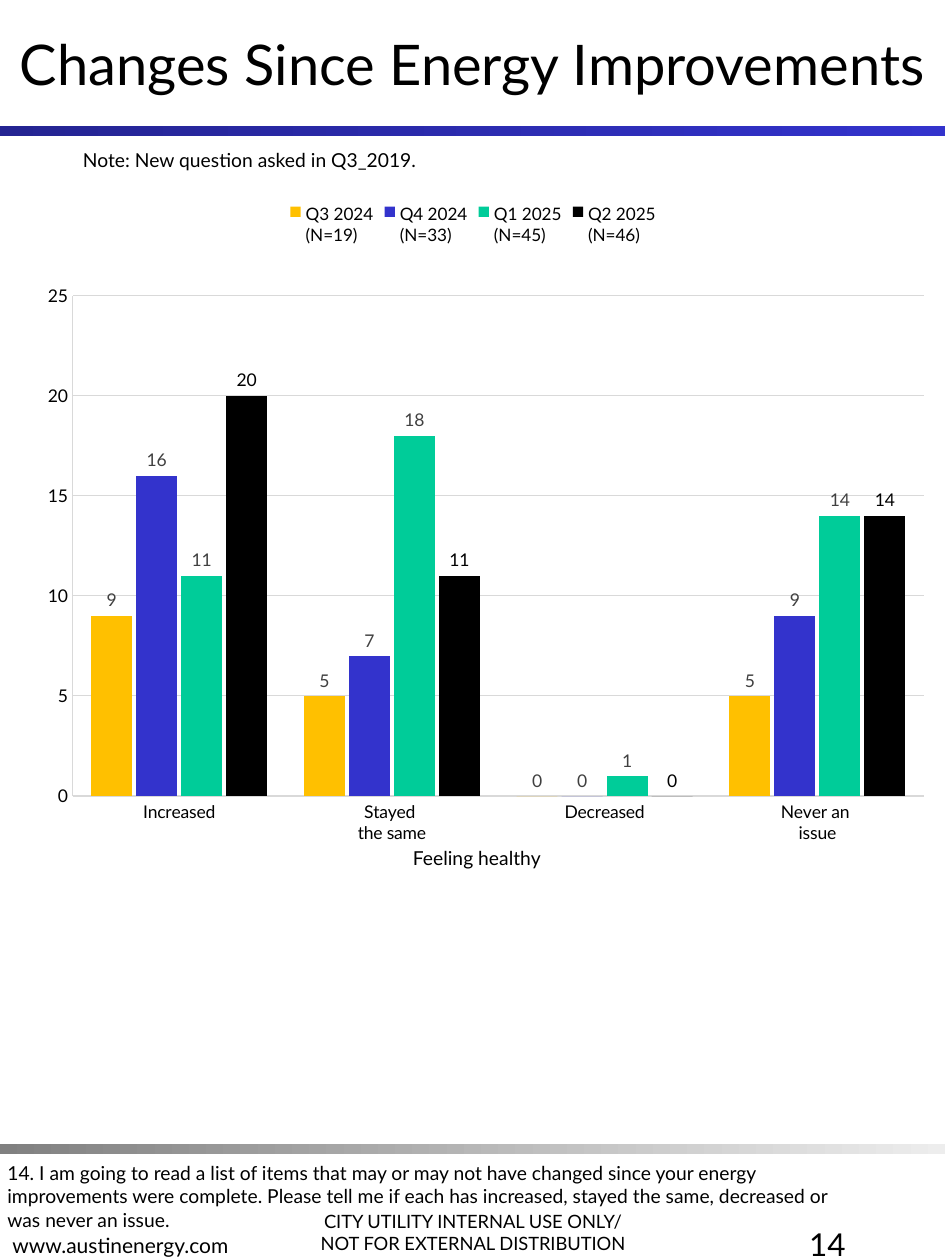
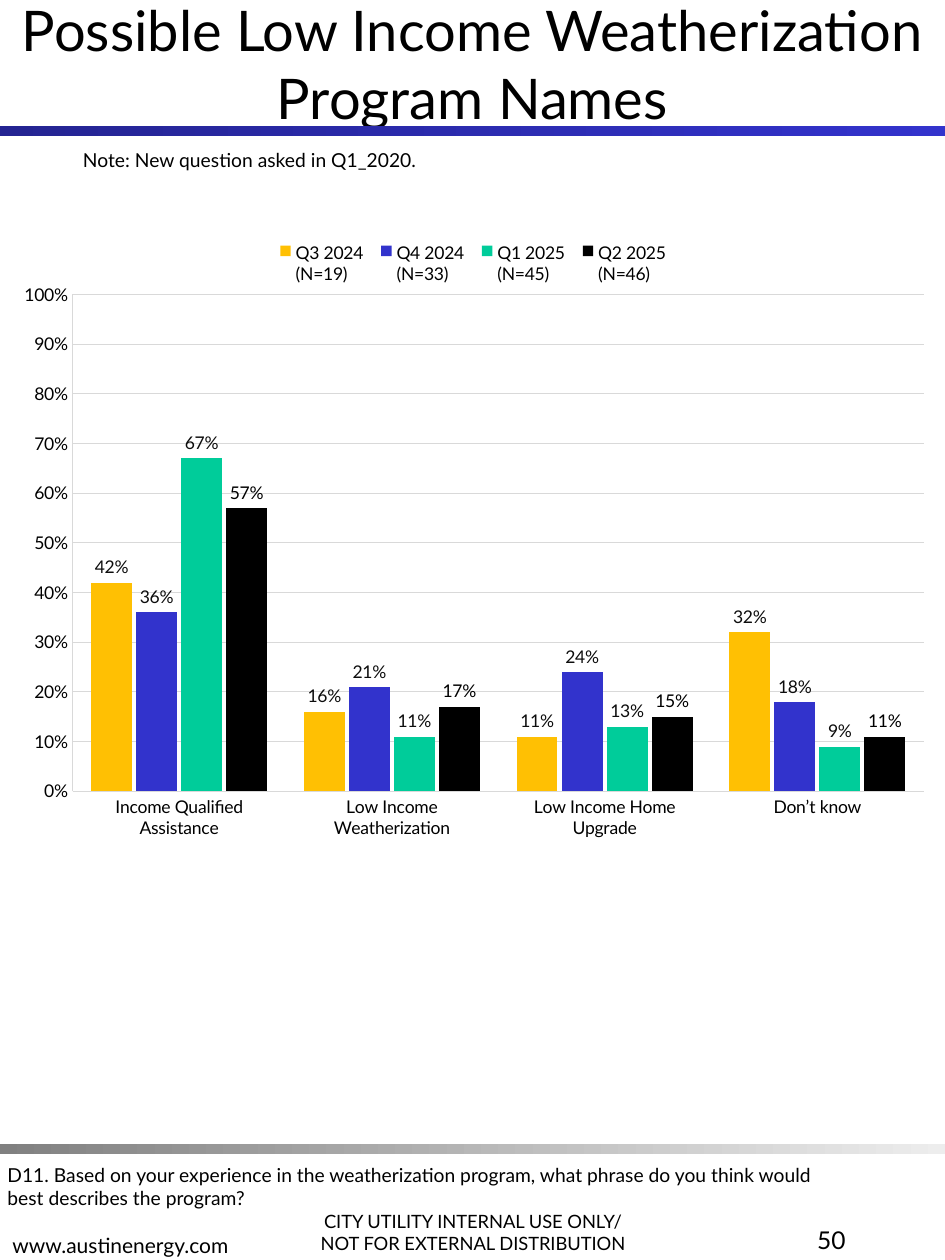
from dataclasses import dataclass
from typing import Optional

from lxml.etree import SubElement
from pptx import Presentation
from pptx.chart.data import CategoryChartData
from pptx.dml.color import RGBColor
from pptx.enum.chart import XL_CHART_TYPE as ChartType
from pptx.enum.chart import XL_LABEL_POSITION as LabelPosition
from pptx.enum.chart import XL_LEGEND_POSITION as LegendPosition
from pptx.enum.chart import XL_TICK_MARK as TickMark
from pptx.enum.shapes import MSO_SHAPE as Shape
from pptx.enum.text import MSO_ANCHOR as Anchor
from pptx.enum.text import MSO_AUTO_SIZE as AutoSize
from pptx.enum.text import PP_ALIGN as Align
from pptx.oxml.ns import qn
from pptx.util import Inches, Pt

FONT = "Lato"
BLACK = "000000"
RULE = "D9D9D9"
COLUMNS, ROWS = 75, 100
WIDTH, HEIGHT = Inches(7.5), Inches(10)
QUARTERS = ["Q3 2024\n(N=19)", "Q4 2024\n(N=33)", "Q1 2025\n(N=45)", "Q2 2025\n(N=46)"]


@dataclass(frozen=True)
class Area:
    """A place on the page grid."""
    column: float
    row: float
    columns: float
    rows: float

    def emu(self) -> tuple:
        """Return left, top, width and height."""
        across, down = WIDTH / COLUMNS, HEIGHT / ROWS
        return (round(self.column * across), round(self.row * down),
                round(self.columns * across), round(self.rows * down))


@dataclass(frozen=True)
class Label:
    """A piece of text with its place and style."""
    text: str
    area: Area
    size: float
    align: Align = Align.LEFT
    anchor: Anchor = Anchor.TOP
    wrap: bool = True


@dataclass(frozen=True)
class Band:
    """A gradient bar across the page."""
    row: float
    start: str
    end: str


@dataclass(frozen=True)
class Columns:
    """A clustered column chart of the four quarters."""
    area: Area
    categories: list
    values: list
    colors: list
    label_colors: list
    plot: tuple
    maximum: float
    step: float
    number_format: str = "General"
    legend_size: float = 10
    legend: Optional[tuple] = None


@dataclass(frozen=True)
class SurveyPage:
    """The content of one question page."""
    title: str
    number: Label
    labels: list
    chart: Columns


BANDS = [Band(10, "242492", "3333CC"), Band(90.8, "808080", "EDEDED")]
FOOTERS = [
    Label("CITY UTILITY INTERNAL USE ONLY/\nNOT FOR EXTERNAL DISTRIBUTION",
          Area(21.6, 93.3, 31.9, 6.7), 10.5, Align.CENTER, Anchor.BOTTOM),
    Label("www.austinenergy.com", Area(0, 93.6, 31.9, 6.7), 12, anchor=Anchor.BOTTOM),
]
NUMBER_AREA = Area(52.5, 96.7, 15.6, 6.7)
NOTE_AREA = Area(5.6, 11.3, 64.4, 2.9)

PAGES = [
    SurveyPage(
        "Changes Since Energy Improvements",
        Label("14", NUMBER_AREA, 18, Align.RIGHT),
        [
            Label("Note: New question asked in Q3_2019.", NOTE_AREA, 11),
            Label("14. I am going to read a list of items that may or may not have changed "
                  "since your energy improvements were complete. Please tell me if each has "
                  "increased, stayed the same, decreased or was never an issue.",
                  Area(-0.4, 91.7, 68.5, 6.6), 11),
            Label("Feeling healthy", Area(30.7, 66.7, 14.3, 4.5), 11, Align.CENTER, wrap=False),
        ],
        Columns(
            Area(0.6, 15, 73.9, 59.2),
            ["Increased", "Stayed \nthe same", "Decreased", "Never an \nissue"],
            [[9, 5, 0, 5], [16, 7, 0, 9], [11, 18, 1, 14], [20, 11, 0, 14]],
            ["FFC000", "3333CC", "00CC99", BLACK],
            ["404040"] * 3 + [BLACK],
            (0.07, 0.143, 0.914, 0.671), 25, 5, legend_size=9.8),
    ),
    SurveyPage(
        "Possible Low Income Weatherization Program Names",
        Label("50", NUMBER_AREA, 14, Align.RIGHT),
        [
            Label("D11. Based on your experience in the weatherization program, what phrase "
                  "do you think would best describes the program?",
                  Area(-0.4, 91.8, 68.5, 4.7), 11),
            Label("Note: New question asked in Q1_2020.", NOTE_AREA, 11),
        ],
        Columns(
            Area(0.6, 14.3, 73.9, 55),
            ["Income Qualified Assistance", "Low Income Weatherization",
             "Low Income Home Upgrade", "Don’t know"],
            [[0.42, 0.16, 0.11, 0.32], [0.36, 0.21, 0.24, 0.18],
             [0.67, 0.11, 0.13, 0.09], [0.57, 0.17, 0.15, 0.11]],
            ["FFC003", "3233CC", "00CC9A", BLACK],
            ["0D0D0D"] * 3 + [BLACK],
            (0.07, 0.165, 0.914, 0.717), 1, 0.1, "0%",
            legend=(0.28, 0.08, 0.44, 0.08)),
    ),
]


def rgb(color: str) -> RGBColor:
    """Turn a hex string into a colour."""
    return RGBColor.from_string(color)


def style_font(font, size: float, color: str = BLACK) -> None:
    """Apply the shared typeface with a size and colour."""
    font.name, font.size, font.bold = FONT, Pt(size), False
    font.color.rgb = rgb(color)


def fill_text(box, label: Label) -> None:
    """Write a label into a box and format it."""
    frame = box.text_frame
    frame.text = label.text
    frame.word_wrap = label.wrap
    frame.auto_size = AutoSize.NONE
    frame.vertical_anchor = label.anchor
    for para in frame.paragraphs:
        para.alignment = label.align
        for span in para.runs:
            style_font(span.font, label.size)


def add_label(page, label: Label) -> None:
    """Add a text box."""
    fill_text(page.shapes.add_textbox(*label.area.emu()), label)


def add_band(page, band: Band) -> None:
    """Add a gradient bar."""
    box = page.shapes.add_shape(Shape.RECTANGLE, *Area(0, band.row, COLUMNS, 0.8).emu())
    box.shadow.inherit = False
    box.line.fill.background()
    box.fill.gradient()
    box.fill.gradient_angle = 0
    for stop, position, color in zip(box.fill.gradient_stops, (0, 1), (band.start, band.end)):
        stop.position = position
        stop.color.rgb = rgb(color)


def add_title(page, title: str) -> None:
    """Place and format the page title."""
    area = Area(0, 0, COLUMNS, 10)
    box = page.shapes.title
    box.left, box.top, box.width, box.height = area.emu()
    fill_text(box, Label(title, area, 32, Align.CENTER, Anchor.MIDDLE))


def set_layout(element, shares: tuple, index: int, inner: bool = False) -> None:
    """Fix the place of a chart part as shares of the chart."""
    for old in element.findall(qn("c:layout")):
        element.remove(old)
    layout = SubElement(element, qn("c:layout"))
    element.insert(index, layout)
    manual = SubElement(layout, qn("c:manualLayout"))
    settings = [("layoutTarget", "inner")] if inner else []
    settings += [("xMode", "edge"), ("yMode", "edge"), *zip("xywh", shares)]
    for name, value in settings:
        SubElement(manual, qn(f"c:{name}")).set("val", str(value))


def style_axis(axis, line_width: float) -> None:
    """Give an axis its font and thin grey line."""
    axis.major_tick_mark = axis.minor_tick_mark = TickMark.NONE
    style_font(axis.tick_labels.font, 10)
    axis.format.line.color.rgb = rgb(RULE)
    axis.format.line.width = Pt(line_width)


def add_columns(page, columns: Columns) -> None:
    """Add the column chart with its legend and value labels."""
    data = CategoryChartData(number_format=columns.number_format)
    data.categories = columns.categories
    for quarter, values in zip(QUARTERS, columns.values):
        data.add_series(quarter, values)
    chart = page.shapes.add_chart(
        ChartType.COLUMN_CLUSTERED, *columns.area.emu(), data).chart
    chart.has_title = False
    style_font(chart.font, 10)

    chart.has_legend = True
    legend = chart.legend
    legend.position = LegendPosition.TOP
    legend.include_in_layout = False
    style_font(legend.font, columns.legend_size)
    if columns.legend:
        set_layout(legend._element, columns.legend, 1)

    plot = chart.plots[0]
    plot.gap_width, plot.overlap = 90, -10
    plot.vary_by_categories = False
    set_layout(chart._chartSpace.chart.plotArea, columns.plot, 0, inner=True)
    for series, color, label_color in zip(plot.series, columns.colors, columns.label_colors):
        series.invert_if_negative = False
        series.format.fill.solid()
        series.format.fill.fore_color.rgb = rgb(color)
        labels = series.data_labels
        labels.show_value = True
        labels.position = LabelPosition.OUTSIDE_END
        labels.number_format = columns.number_format
        labels.number_format_is_linked = False
        style_font(labels.font, 10, label_color)

    style_axis(chart.category_axis, 0.62)
    axis = chart.value_axis
    style_axis(axis, 0.41)
    axis.minimum_scale, axis.maximum_scale = 0, columns.maximum
    axis.major_unit = columns.step
    axis.tick_labels.number_format = columns.number_format
    axis.tick_labels.number_format_is_linked = False
    axis.has_major_gridlines = True
    axis.major_gridlines.format.line.color.rgb = rgb(RULE)
    axis.major_gridlines.format.line.width = Pt(0.62)


def add_page(deck, survey: SurveyPage) -> None:
    """Build one question page."""
    page = deck.slides.add_slide(deck.slide_layouts[5])
    for band in BANDS:
        add_band(page, band)
    add_title(page, survey.title)
    add_columns(page, survey.chart)
    for label in [*FOOTERS, survey.number, *survey.labels]:
        add_label(page, label)


def main() -> None:
    """Build and save the deck."""
    deck = Presentation()
    deck.slide_width, deck.slide_height = WIDTH, HEIGHT
    for survey in PAGES:
        add_page(deck, survey)
    deck.save("out.pptx")


if __name__ == "__main__":
    main()
